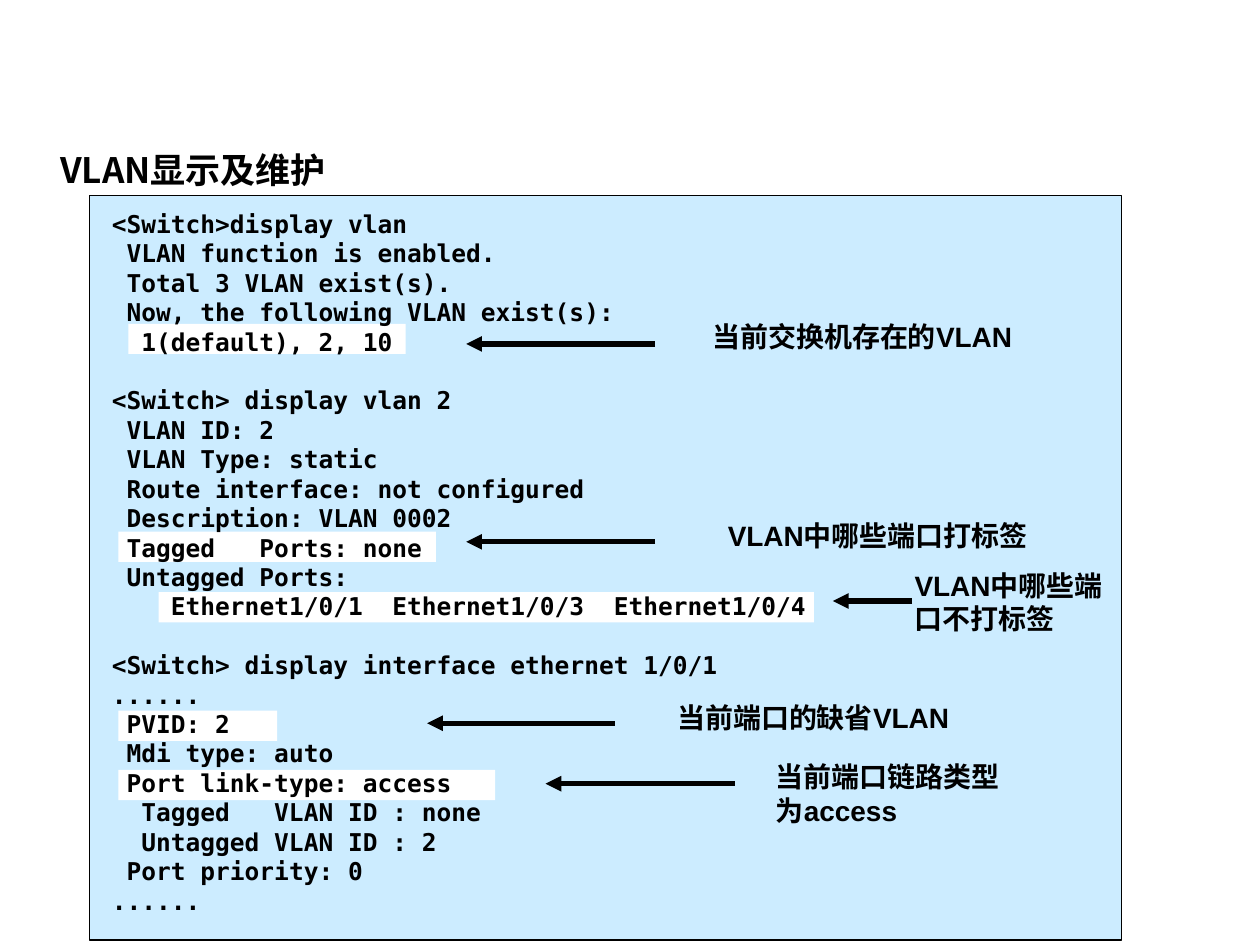
from pptx import Presentation
from pptx.dml.color import RGBColor
from pptx.enum.shapes import MSO_CONNECTOR, MSO_SHAPE
from pptx.enum.text import MSO_ANCHOR, PP_ALIGN
from pptx.oxml.ns import qn
from pptx.util import Inches, Pt
from lxml import etree

BLACK = RGBColor(0x00, 0x00, 0x00)
WHITE = RGBColor(0xFF, 0xFF, 0xFF)
PALE_BLUE = RGBColor(0xCC, 0xEC, 0xFF)
RECTANGLE = MSO_SHAPE.RECTANGLE
STRAIGHT = MSO_CONNECTOR.STRAIGHT
TOP, MIDDLE = MSO_ANCHOR.TOP, MSO_ANCHOR.MIDDLE
LEFT, CENTER = PP_ALIGN.LEFT, PP_ALIGN.CENTER
CJK_FONT = "Noto Sans CJK JP"
MONO_FONT = "DejaVu Sans Mono"
LABEL_FONT = "Arial"
CODE_PITCH = Pt(16.8)
CODE_ADVANCE = Pt(8.43)

TERMINAL_BLOCKS = [
    [
        (0, "<Switch>display vlan"),
        (1, "VLAN function is enabled."),
        (1, "Total 3 VLAN exist(s)."),
        (1, "Now, the following VLAN exist(s):"),
        (2, "1(default), 2, 10"),
    ],
    [
        (0, "<Switch> display vlan 2"),
        (1, "VLAN ID: 2"),
        (1, "VLAN Type: static"),
        (1, "Route interface: not configured"),
        (1, "Description: VLAN 0002"),
        (1, "Tagged   Ports: none"),
        (1, "Untagged Ports:"),
        (4, "Ethernet1/0/1  Ethernet1/0/3  Ethernet1/0/4"),
    ],
    [
        (0, "<Switch> display interface ethernet 1/0/1"),
        (0, "......"),
        (1, "PVID: 2"),
        (1, "Mdi type: auto"),
        (1, "Port link-type: access"),
        (2, "Tagged   VLAN ID : none"),
        (2, "Untagged VLAN ID : 2"),
        (1, "Port priority: 0"),
        (0, "......"),
    ],
]
HIGHLIGHTS = [
    (1.02, 2.57, 2.2),
    (0.94, 4.22, 2.52),
    (1.26, 4.7, 5.2),
    (0.94, 5.64, 1.26),
    (0.94, 6.11, 2.99),
]
ARROWS = [
    (5.2, 3.7, 2.73),
    (5.2, 3.7, 4.3),
    (7.24, 6.61, 4.77),
    (4.88, 3.39, 5.74),
    (5.83, 4.33, 6.22),
]
LABELS = [
    ("当前交换机存在的VLAN", 5.43, 2.49, 2.83, 0.37, CENTER),
    ("VLAN中哪些端口打标签", 5.35, 4.07, 3.23, 0.37, CENTER),
    ("VLAN中哪些端口不打标签", 7.16, 4.46, 1.81, 0.64, LEFT),
    ("当前端口的缺省VLAN", 5.04, 5.51, 2.83, 0.37, CENTER),
    ("当前端口链路类型为access", 6.06, 5.98, 2.05, 0.64, LEFT),
]


def write_text(para, text, *, size, font, align=LEFT, color=BLACK):
    para.alignment = align
    span = para.add_run()
    span.text = text
    span.font.size = Pt(size)
    span.font.name = font
    span.font.bold = True
    span.font.color.rgb = color
    east_asian = etree.SubElement(span.font._element, qn("a:ea"))
    east_asian.set("typeface", CJK_FONT)


class SlideBuilder:
    def __init__(self, page, ink=BLACK):
        self.page = page
        self.ink = ink

    def rectangle(self, left, top, width, height, fill, outlined=False):
        shape = self.page.shapes.add_shape(
            RECTANGLE, Inches(left), Inches(top), Inches(width), Inches(height)
        )
        shape.shadow.inherit = False
        shape.fill.solid()
        shape.fill.fore_color.rgb = fill
        if outlined:
            shape.line.color.rgb = self.ink
            shape.line.width = Pt(0.75)
        else:
            shape.line.fill.background()

    def text_frame(self, left, top, width, height, anchor=TOP):
        box = self.page.shapes.add_textbox(
            Inches(left), Inches(top), Inches(width), Inches(height)
        )
        box.text_frame.word_wrap = True
        box.text_frame.vertical_anchor = anchor
        return box.text_frame

    def title(self, text, left, top, width, height):
        frame = self.text_frame(left, top, width, height, MIDDLE)
        write_text(frame.paragraphs[0], text, size=20, font=CJK_FONT)

    def label(self, text, left, top, width, height, align):
        frame = self.text_frame(left, top, width, height)
        write_text(frame.paragraphs[0], text, size=16, font=LABEL_FONT, align=align)

    def terminal(self, blocks, left, top, width, height):
        frame = self.text_frame(left, top, width, height)
        para = frame.paragraphs[0]
        for block_index, block in enumerate(blocks):
            for line_index, (indent, text) in enumerate(block):
                if block_index or line_index:
                    para = frame.add_paragraph()
                para.line_spacing = CODE_PITCH
                if block_index and not line_index:
                    para.space_before = CODE_PITCH
                properties = para._p.get_or_add_pPr()
                properties.set("marL", str(indent * CODE_ADVANCE))
                properties.set("indent", "0")
                write_text(para, text, size=14, font=MONO_FONT)

    def arrow(self, start, end, y):
        line = self.page.shapes.add_connector(
            STRAIGHT, Inches(start), Inches(y), Inches(end), Inches(y)
        )
        line.line.color.rgb = self.ink
        line.line.width = Pt(3)
        tail = etree.SubElement(line.line._get_or_add_ln(), qn("a:tailEnd"))
        tail.set("type", "triangle")
        etree.SubElement(line._element.spPr, qn("a:effectLst"))


def main():
    deck = Presentation()
    deck.slide_width = Inches(10)
    deck.slide_height = Inches(7.5)
    page = deck.slides.add_slide(deck.slide_layouts[6])
    builder = SlideBuilder(page)
    builder.title("VLAN显示及维护", 0.38, 0.99, 8.61, 0.71)
    builder.rectangle(0.71, 1.55, 8.19, 5.91, PALE_BLUE, outlined=True)
    for left, top, width in HIGHLIGHTS:
        builder.rectangle(left, top, width, 0.24, WHITE)
    builder.terminal(TERMINAL_BLOCKS, 0.79, 1.61, 8.43, 5.76)
    for arrow in ARROWS:
        builder.arrow(*arrow)
    for label in LABELS:
        builder.label(*label)
    deck.save("out.pptx")


if __name__ == "__main__":
    main()
